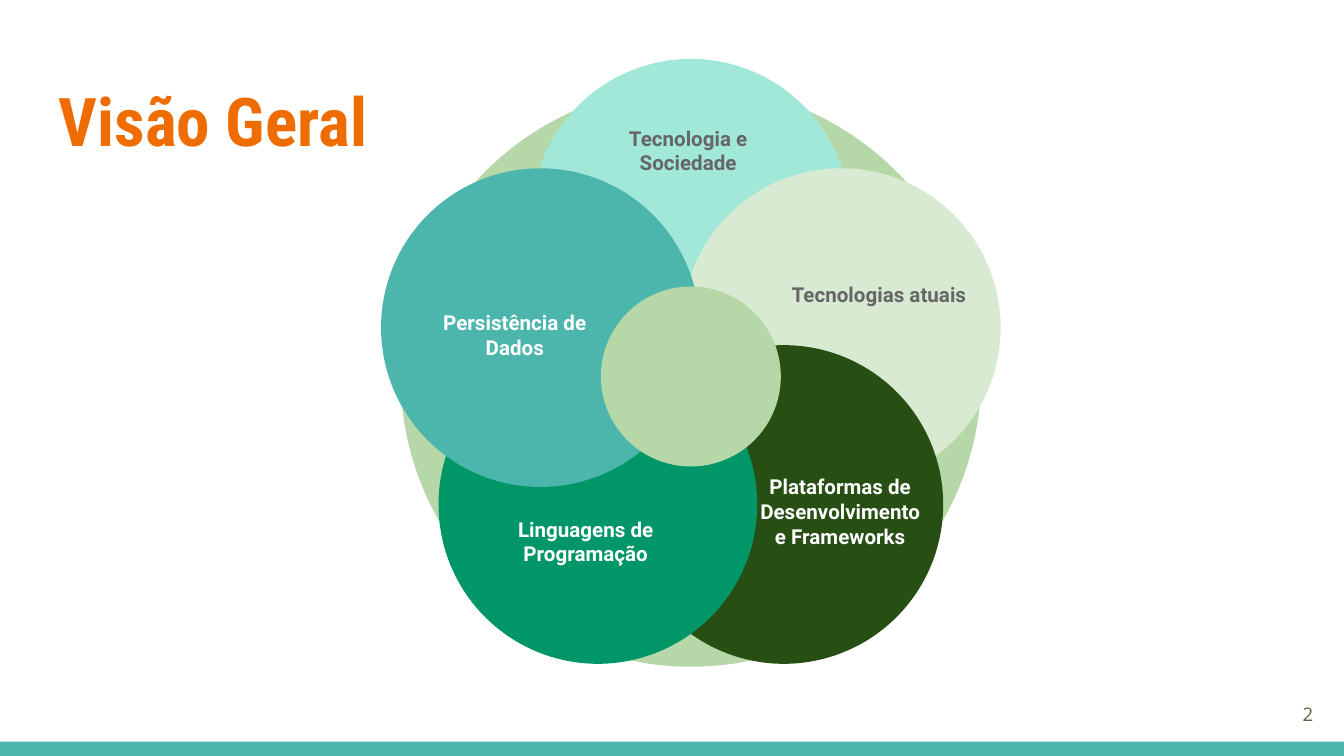
from math import cos, radians, sin

from pptx import Presentation
from pptx.dml.color import RGBColor
from pptx.enum.shapes import MSO_SHAPE as Shape
from pptx.enum.text import MSO_ANCHOR as Anchor, PP_ALIGN as Align
from pptx.util import Pt

COLORS = {
    "teal": "4DB6AC", "orange": "EF6C00", "sage": "B6D7A8",
    "aqua": "A1E8D9", "mint": "D9EAD3", "forest": "274E13",
    "green": "009668", "gray": "666666", "white": "FFFFFF", "brown": "695D46",
}

PETALS = [
    # text, angle, fill, text colour, label offset, label size
    ("Tecnologia e Sociedade", 0, "aqua", "gray", (-1.4, -36.4), (104.4, 52)),
    ("Tecnologias atuais", 72, "mint", "gray", (20.2, -17.6), (121.7, 52)),
    ("Plataformas de Desenvolvimento e Frameworks", 144, "forest", "white",
     (30.2, 3.7), (104.4, 60)),
    ("Linguagens de Programação", 216, "green", "white", (-6.5, 19.8), (104.4, 52)),
    ("Persistência de Dados", 288, "teal", "white", (-13.7, 4), (104.4, 52)),
]


def color(name):
    return RGBColor.from_string(COLORS[name])


def add_filled(slide, kind, left, top, width, height, fill):
    shape = slide.shapes.add_shape(kind, Pt(left), Pt(top), Pt(width), Pt(height))
    shape.shadow.inherit = False
    shape.fill.solid()
    shape.fill.fore_color.rgb = color(fill)
    shape.line.fill.background()


def add_circle(slide, x, y, radius, fill):
    add_filled(slide, Shape.OVAL, x - radius, y - radius, 2 * radius, 2 * radius, fill)


def add_text(slide, text, left, top, width, height, *, size=11, font="Roboto",
             fill="white", bold=True, align=Align.CENTER, anchor=Anchor.MIDDLE):
    box = slide.shapes.add_textbox(Pt(left), Pt(top), Pt(width), Pt(height))
    frame = box.text_frame
    frame.word_wrap = True
    frame.vertical_anchor = anchor
    frame.margin_left = frame.margin_right = Pt(7.2)
    frame.margin_top = frame.margin_bottom = Pt(7.2)
    paragraph = frame.paragraphs[0]
    paragraph.alignment = align
    run = paragraph.add_run()
    run.text = text
    run.font.size = Pt(size)
    run.font.name = font
    run.font.bold = bold
    run.font.color.rgb = color(fill)


def add_title(slide, left, top, width, height):
    add_text(slide, "Visão Geral", left, top, width, height, size=36,
             font="Roboto Condensed", fill="orange", align=Align.LEFT, anchor=Anchor.TOP)


def add_flower(slide, left, top, diameter):
    radius = diameter / 2
    x, y = left + radius, top + radius
    ring, petal, hub = radius * 0.545, radius * 0.549, radius * 0.31
    add_circle(slide, x, y, radius, "sage")
    for text, angle, fill, text_fill, (dx, dy), (width, height) in PETALS:
        petal_x = x + ring * sin(radians(angle))
        petal_y = y - ring * cos(radians(angle))
        add_circle(slide, petal_x, petal_y, petal, fill)
        add_text(slide, text, petal_x + dx - width / 2, petal_y + dy - height / 2,
                 width, height, fill=text_fill)
    add_circle(slide, x, y, hub, "sage")


def add_footer(slide, left, top, width, height):
    add_filled(slide, Shape.RECTANGLE, left, top, width, height, "teal")
    add_text(slide, "2", left + width - 52.6, top - 30.2, 43.2, 31, size=10,
             font="Open Sans", fill="brown", bold=False, align=Align.RIGHT)


def main():
    presentation = Presentation()
    presentation.slide_width = Pt(720)
    presentation.slide_height = Pt(405)
    slide = presentation.slides.add_slide(presentation.slide_layouts[6])
    add_footer(slide, 0, 397.4, 720, 7.6)
    add_title(slide, 24.5, 35.3, 671, 55.4)
    add_flower(slide, 214.6, 46.2, 311)
    presentation.save("out.pptx")


if __name__ == "__main__":
    main()
